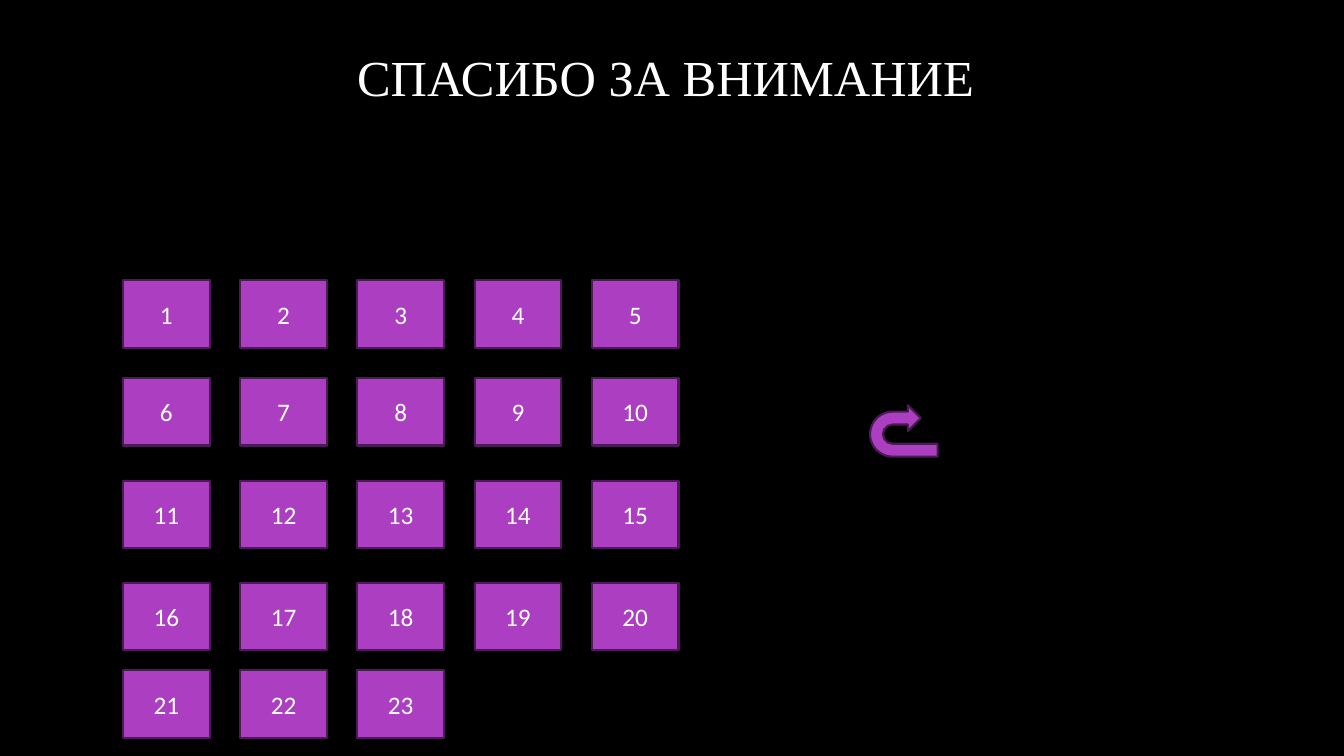
from pptx import Presentation
from pptx import util as u
from pptx.dml import color
from pptx.enum import shapes, text


def rgb(value):
    return color.RGBColor.from_string(value)


class ClosingSlide:
    """Draws the elements of the closing slide in one shared style."""

    background, ink, accent, edge = "000000", "FFFFFF", "AC3EC1", "4B1B55"

    def __init__(self, deck):
        self.slide = deck.slides.add_slide(deck.slide_layouts[6])
        fill = self.slide.background.fill
        fill.solid()
        fill.fore_color.rgb = rgb(self.background)

    def label(self, frame, words, font, size, anchor):
        frame.word_wrap = True
        frame.vertical_anchor = anchor
        line = frame.paragraphs[0]
        line.text = words
        line.alignment = text.PP_ALIGN.CENTER
        line.font.name = font
        line.font.size = u.Pt(size)
        line.font.color.rgb = rgb(self.ink)

    def title(self, words, *place):
        heading = self.slide.shapes.add_textbox(*map(u.Inches, place))
        self.label(heading.text_frame, words, "Times New Roman", 36,
                   text.MSO_ANCHOR.BOTTOM)

    def block(self, preset, *place):
        block = self.slide.shapes.add_shape(preset, *map(u.Inches, place))
        block.shadow.inherit = False
        block.fill.solid()
        block.fill.fore_color.rgb = rgb(self.accent)
        block.line.color.rgb = rgb(self.edge)
        block.line.width = u.Pt(1.5)
        return block

    def number_button(self, number, left, top):
        button = self.block(shapes.MSO_SHAPE.FLOWCHART_PROCESS,
                            left, top, 0.86, 0.67)
        self.label(button.text_frame, str(number), "Calibri", 18,
                   text.MSO_ANCHOR.MIDDLE)

    def return_arrow(self, *place):
        self.block(shapes.MSO_SHAPE.U_TURN_ARROW, *place).rotation = 270


def main():
    deck = Presentation()
    deck.slide_width, deck.slide_height = u.Inches(13.33), u.Inches(7.5)
    closing = ClosingSlide(deck)
    closing.title("СПАСИБО ЗА ВНИМАНИЕ ", 0, 0.3, 13.33, 0.81)

    row_tops = [2.78, 3.75, 4.77, 5.78, 6.65]
    columns, first_left, last_left = 5, 1.22, 5.87
    column_step = (last_left - first_left) / (columns - 1)
    for index in range(23):
        row, column = divmod(index, columns)
        closing.number_button(index + 1, first_left + column * column_step,
                              row_tops[row])

    closing.return_arrow(8.71, 3.94, 0.51, 0.67)
    deck.save("out.pptx")


if __name__ == "__main__":
    main()
